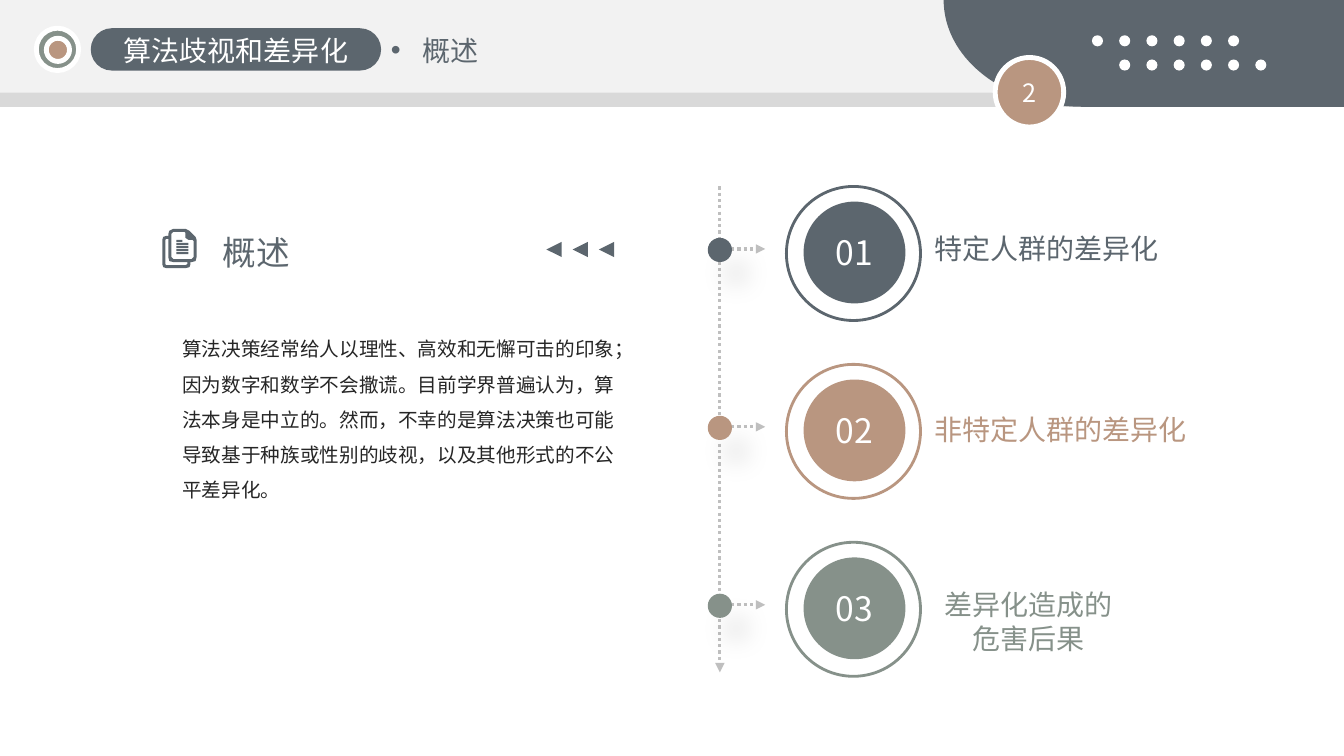
from lxml import etree
from pptx import Presentation
from pptx import util as u
from pptx.dml.color import RGBColor
from pptx.enum import dml, shapes, text
from pptx.oxml import ns

SLATE = RGBColor(0x5C, 0x66, 0x6E)
NAVY = RGBColor(0x5D, 0x66, 0x6E)
TAN = RGBColor(0xB9, 0x96, 0x80)
SAGE = RGBColor(0x86, 0x91, 0x8A)
WHITE = RGBColor(0xFF, 0xFF, 0xFF)
PALE = RGBColor(0xF2, 0xF2, 0xF2)
GREY = RGBColor(0xD9, 0xD9, 0xD9)
RULE = RGBColor(0xBF, 0xBF, 0xBF)
INK = RGBColor(0x26, 0x26, 0x26)
FONT = "Noto Sans CJK SC"
LEFT, MID = text.PP_ALIGN.LEFT, text.PP_ALIGN.CENTER

TITLE = "算法歧视和差异化"
TOPIC = "概述"
PAGE = "2"
BODY = ("算法决策经常给人以理性、高效和无懈可击的印象；因为数字和数学不会撒谎。"
        "目前学界普遍认为，算法本身是中立的。然而，不幸的是算法决策也可能导致基于"
        "种族或性别的歧视，以及其他形式的不公平差异化。")
STEPS = [
    ("01", "特定人群的差异化", SLATE, (9.17, 2.25, 2.58, 0.44), LEFT),
    ("02", "非特定人群的差异化", TAN, (9.17, 4.04, 2.85, 0.44), LEFT),
    ("03", "差异化造成的危害后果", SAGE, (9.13, 5.78, 2.14, 0.77), MID),
]
PITCH = 1.765
DOTS = [(10.83, 0.35), (11.1, 0.59)]
CURVE = [(10.74, 1.06), (9.98, 1.06), (9.36, 0.59), (9.36, 0)]
ICON = [
    [(1.72, 2.27), (1.84, 2.27), (1.88, 2.29), (1.94, 2.35), (1.95, 2.38),
     (1.95, 2.55), (1.94, 2.59), (1.9, 2.6), (1.89, 2.6), (1.89, 2.62),
     (1.88, 2.65), (1.84, 2.66), (1.65, 2.66), (1.62, 2.65), (1.61, 2.62),
     (1.61, 2.38), (1.62, 2.35), (1.65, 2.34), (1.67, 2.34), (1.67, 2.32),
     (1.68, 2.29)],
    [(1.72, 2.3), (1.83, 2.3), (1.84, 2.31), (1.84, 2.36), (1.87, 2.38),
     (1.91, 2.38), (1.92, 2.39), (1.92, 2.55), (1.9, 2.57), (1.72, 2.57),
     (1.7, 2.55), (1.7, 2.32)],
    [(1.65, 2.37), (1.67, 2.37), (1.67, 2.55), (1.68, 2.59), (1.72, 2.6),
     (1.86, 2.6), (1.86, 2.62), (1.84, 2.63), (1.65, 2.63), (1.64, 2.62),
     (1.64, 2.38)],
]
for row in range(5):
    top, end = 2.38 + 0.03 * row, 1.87 if row else 1.81
    ICON.append([(1.75, top), (end, top), (end, top + 0.02), (1.75, top + 0.02)])

deck = Presentation()
deck.slide_width, deck.slide_height = u.Inches(13.33), u.Inches(7.5)
slide = deck.slides.add_slide(deck.slide_layouts[6])
KIND = shapes.MSO_SHAPE


def apply(thing, form):
    for key, val in form.items():
        setattr(thing, key, val)


def node(parent, tag, **attrs):
    item = etree.SubElement(parent, ns.qn(tag))
    for key, val in attrs.items():
        item.set(key, str(val))
    return item


def paint(shape, fill=None, line=None, width=2):
    shape.shadow.inherit = False
    if fill is None:
        shape.fill.background()
    else:
        shape.fill.solid()
        shape.fill.fore_color.rgb = fill
    if line is None:
        shape.line.fill.background()
    else:
        shape.line.color.rgb = line
        shape.line.width = u.Pt(width)
    return shape


def draw(kind, box, *look):
    return paint(slide.shapes.add_shape(kind, *map(u.Inches, box)), *look)


def write(shape, words, size, color, align=LEFT, space=None, bullet=False):
    frame = shape.text_frame
    frame.word_wrap = True
    para = frame.paragraphs[0]
    apply(para, {"alignment": align, "line_spacing": space})
    if bullet:
        props = para._p.get_or_add_pPr()
        props.set("marL", str(u.Inches(0.31)))
        props.set("indent", str(-u.Inches(0.31)))
        node(props, "a:buFont", typeface="Arial")
        node(props, "a:buChar", char="•")
    run = para.add_run()
    run.text = words
    apply(run.font, {"size": u.Pt(size), "name": FONT})
    run.font.color.rgb = color
    node(run._r.get_or_add_rPr(), "a:ea", typeface=FONT)


def label(box, *form, **more):
    area = slide.shapes.add_textbox(*map(u.Inches, box))
    write(area, *form, **more)


def disc(box, fill, words, size):
    shape = draw(KIND.OVAL, box, fill)
    shape.text_frame.vertical_anchor = text.MSO_ANCHOR.MIDDLE
    write(shape, words, size, WHITE, MID)


def arrow(*ends):
    line = slide.shapes.add_connector(shapes.MSO_CONNECTOR.STRAIGHT, *map(u.Inches, ends))
    line.line.color.rgb = RULE
    apply(line.line, {"width": u.Pt(2.25), "dash_style": dml.MSO_LINE.ROUND_DOT})
    node(line.line._get_or_add_ln(), "a:tailEnd", type="triangle")
    node(line._element.spPr, "a:effectLst")


def shade(shape):
    glow = node(shape._element.spPr.find(ns.qn("a:effectLst")), "a:outerShdw",
                blurRad=u.Pt(18), dist=u.Pt(20), dir=55 * 60000,
                algn="ctr", rotWithShape=0)
    node(node(glow, "a:srgbClr", val="000000"), "a:alpha", val=10000)


def trace(loops, fill):
    loops = [[(u.Inches(x), u.Inches(y)) for x, y in loop] for loop in loops]
    path = slide.shapes.build_freeform(*loops[0][0])
    for num, loop in enumerate(loops):
        if num:
            path.move_to(*loop[0])
        path.add_line_segments(loop[1:], close=True)
    paint(path.convert_to_shape(), fill)


def bend(t):
    parts = ((1 - t) ** 3, 3 * t * (1 - t) ** 2, 3 * t * t * (1 - t), t ** 3)
    return tuple(sum(p * c[axis] for p, c in zip(parts, CURVE)) for axis in (0, 1))


draw(KIND.RECTANGLE, (0, 0.14, 12.17, 0.92), GREY)
draw(KIND.RECTANGLE, (0, 0, 12.17, 0.92), PALE)
trace([[(13.33, 0), (13.33, 1.06)] + [bend(n / 40) for n in range(41)]], NAVY)
for left, top in DOTS:
    for col in range(6):
        draw(KIND.OVAL, (left + 0.27 * col, top, 0.11, 0.11), WHITE)
badge = (9.87, 0.57, 0.68, 0.69)
disc(badge, TAN, PAGE, 18)
draw(KIND.OVAL, badge, None, WHITE, 3.5)
label((3.78, 0.28, 3.36, 0.44), TOPIC, 20, SLATE, bullet=True)

label((2.11, 2.25, 2.77, 0.5), TOPIC, 24, SLATE)
trace(ICON, SLATE)
for col in range(3):
    mark = draw(KIND.ISOSCELES_TRIANGLE, (5.42 + 0.26 * col, 2.4, 0.15, 0.15), SLATE)
    mark.rotation = 270
label((1.71, 3.18, 4.53, 1.87), BODY, 14, INK, space=1.5)

for row in range(len(STEPS)):
    mid = 2.47 + PITCH * row
    arrow(7.19, mid, 7.59, mid)
arrow(7.14, 1.85, 7.14, 6.67)
for row, (num, words, color, box, align) in enumerate(STEPS):
    down = PITCH * row
    disc((7.97, 2 + down, 1.01, 1.01), color, num, 24)
    label(box, words, 20, color, align)
    draw(KIND.OVAL, (7.8, 1.85 + down, 1.33, 1.33), None, color)
    shade(draw(KIND.OVAL, (7.02, 2.36 + down, 0.24, 0.24), color))

pill = draw(KIND.ROUNDED_RECTANGLE, (0.9, 0.28, 2.88, 0.42), SLATE)
pill.adjustments[0] = 0.5
draw(KIND.OVAL, (0.36, 0.28, 0.42, 0.42), SAGE, WHITE, 3.5)
draw(KIND.OVAL, (0.46, 0.38, 0.23, 0.23), TAN, WHITE, 3.5)
label((0.9, 0.28, 2.88, 0.44), TITLE, 20, WHITE, MID)

deck.save("out.pptx")
